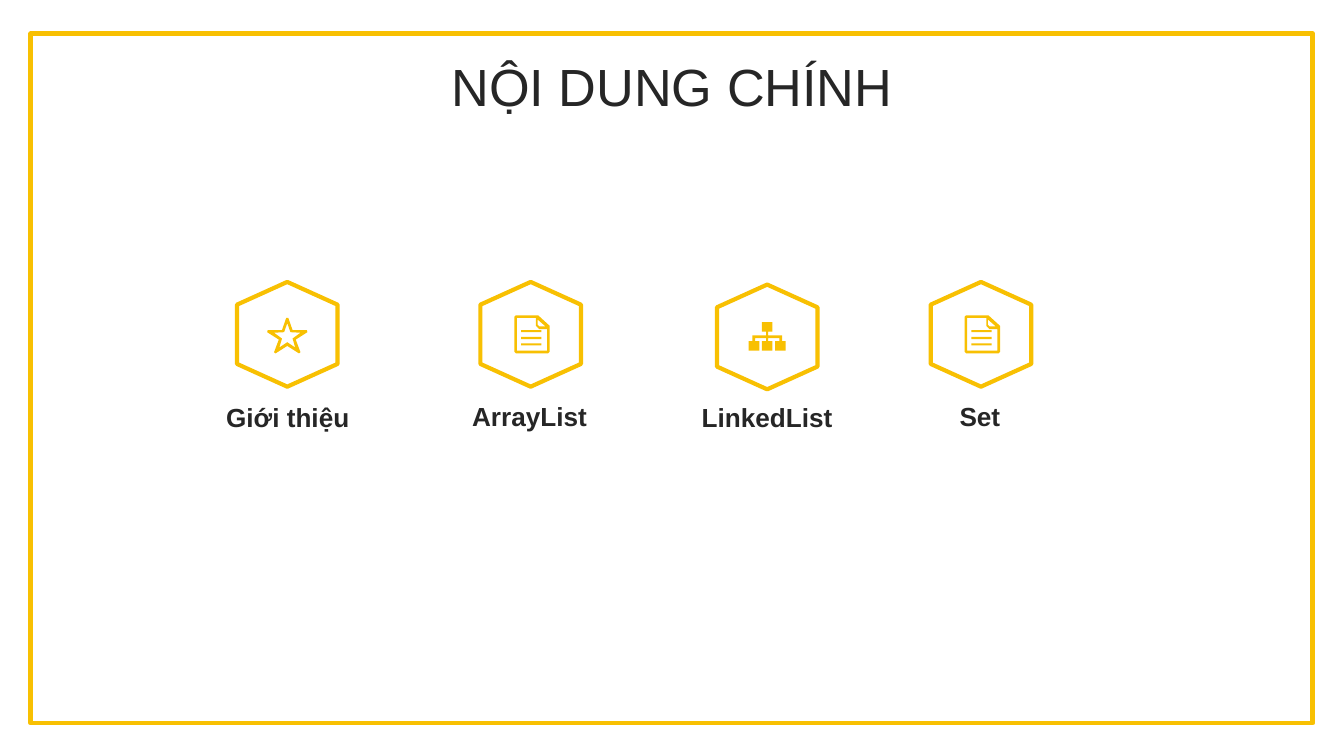
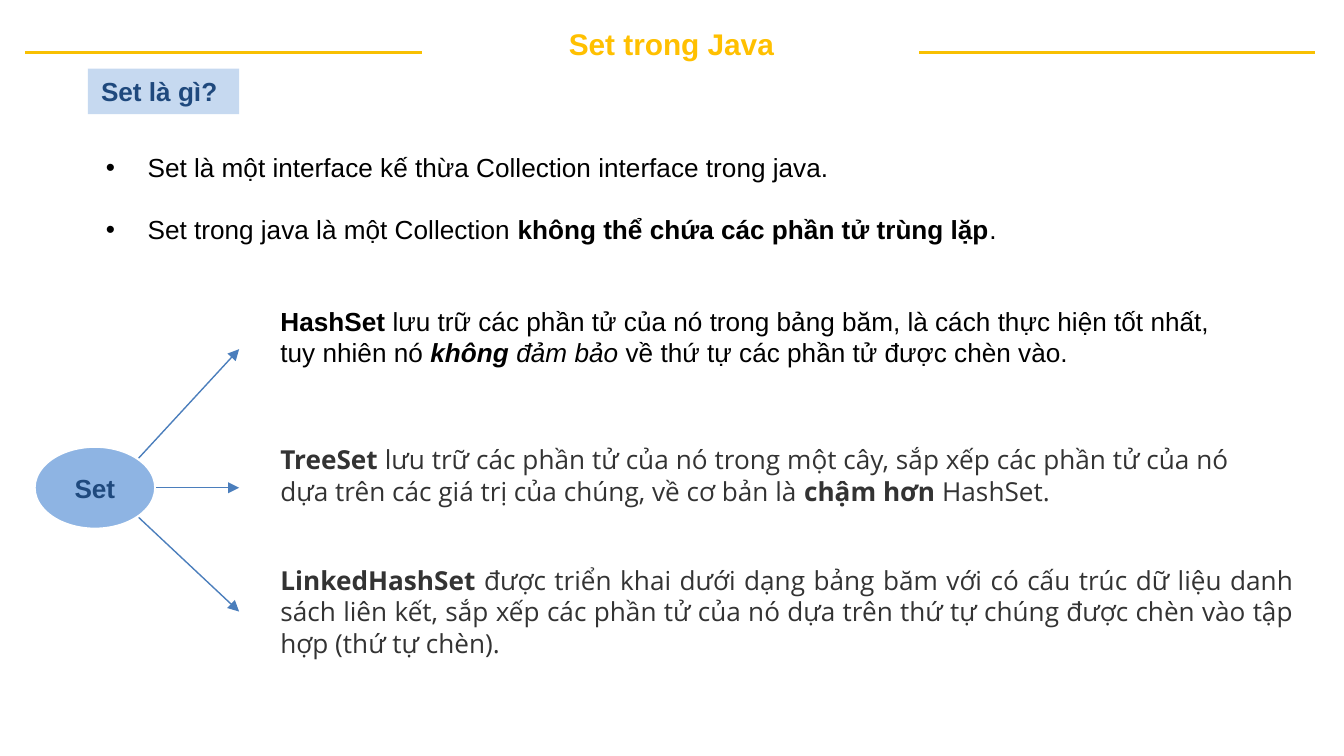
from lxml import etree
from pptx import Presentation
from pptx import util as u
from pptx.dml.color import RGBColor
from pptx.enum import shapes, text
from pptx.oxml import ns

Cm, Pt = u.Cm, u.Pt
GOLD = RGBColor(0xF8, 0xC0, 0x02)
AMBER = RGBColor(0xFF, 0xC0, 0x00)
DARK = RGBColor(0x26, 0x26, 0x26)
GREY = RGBColor(0x33, 0x33, 0x33)
BLACK = RGBColor(0, 0, 0)
WHITE = RGBColor(0xFF, 0xFF, 0xFF)
NAVY = RGBColor(0x1F, 0x49, 0x7D)
SKY = RGBColor(0x8E, 0xB4, 0xE3)
STEEL = RGBColor(0x4B, 0x7E, 0xBC)
LEFT, MID, JUST = text.PP_ALIGN.LEFT, text.PP_ALIGN.CENTER, text.PP_ALIGN.JUSTIFY
TOP, CORE = text.MSO_ANCHOR.TOP, text.MSO_ANCHOR.MIDDLE
FONT = "Arial"


def write(shape, runs, color, size=14, font=FONT, align=LEFT, anchor=TOP, wrap=True):
    frame = shape.text_frame
    frame.word_wrap = wrap
    frame.vertical_anchor = anchor
    par = frame.paragraphs[0]
    par.alignment = align
    for words, style in runs:
        run = par.add_run()
        run.text = words
        run.font.name = font
        run.font.size = Pt(size)
        run.font.bold = "b" in style
        run.font.italic = "i" in style
        run.font.color.rgb = color
    return par


def link(slide, x1, y1, x2, y2, color, width, arrow=False):
    line = slide.shapes.add_connector(
        shapes.MSO_CONNECTOR.STRAIGHT, Cm(x1), Cm(y1), Cm(x2), Cm(y2))
    line.line.color.rgb = color
    line.line.width = Pt(width)
    if arrow:
        tail = etree.SubElement(line.line._get_or_add_ln(), ns.qn("a:tailEnd"))
        tail.set("type", "triangle")
    etree.SubElement(line._element.spPr, ns.qn("a:effectLst"))


deck = Presentation()
deck.slide_width, deck.slide_height = Cm(25.4), Cm(14.29)
blank = deck.slide_layouts[6]

menu = deck.slides.add_slide(blank)
head = menu.shapes.add_textbox(Cm(4.84), Cm(0.66), Cm(15.72), Cm(1.7))
write(head, [("NỘI DUNG CHÍNH", "")], DARK, 28, align=MID).line_spacing = 1.2

frame = menu.shapes.add_shape(
    shapes.MSO_SHAPE.RECTANGLE, Cm(0.58), Cm(0.64), Cm(24.23), Cm(13.03))
frame.shadow.inherit = False
frame.fill.background()
frame.line.color.rgb = GOLD
frame.line.width = Pt(2.5)

hexagon = [(0, -99), (95, -56), (95, 56), (0, 99), (-95, 56), (-95, -56)]
rim = [(2, -31), (10, -8), (37, -8), (38, -4), (16, 10), (25, 34), (22, 36), (0, 22)]
core = [(0, -21), (6, -4), (25, -3), (10, 8), (15, 25), (0, 15)]
tree = [(10, -28), (10, -10), (2, -10), (2, -3), (28, -3), (28, 8), (35, 8), (35, 26),
        (15, 26), (15, 8), (23, 8), (23, 2), (2, 2), (2, 8), (10, 8), (10, 26)]
star_icon, tree_icon = [
    [half + [(-x, y) for x, y in reversed(half)] for half in parts]
    for parts in ([rim, core], [tree])]
page_icon = [
    [(-28, -36), (14, -36), (36, -16), (36, 33), (33, 36), (-28, 36), (-31, 33), (-31, -33)],
    [(-26, -31), (10, -31), (10, -16), (16, -10), (31, -10), (31, 31), (-26, 31)],
    [(13, -28), (28, -15), (16, -15), (13, -18)],
] + [[(-18, y), (20, y), (20, y + 4), (-18, y + 4)] for y in (-8, 5, 17)]

topics = [
    ("Giới thiệu", 5.43, 6.32, 5.44, 7.47, star_icon),
    ("ArrayList", 10.03, 6.32, 10.01, 7.44, page_icon),
    ("LinkedList", 14.5, 6.37, 14.5, 7.47, tree_icon),
    ("Set", 18.54, 6.32, 18.52, 7.44, page_icon),
]
for name, x, y, mid, top, icon in topics:
    group = menu.shapes.add_group_shape()
    for parts, solid in (([hexagon], False), (icon, True)):
        pen = group.shapes.build_freeform(*parts[0][0], scale=Cm(0.01))
        pen.add_line_segments(parts[0][1:])
        for part in parts[1:]:
            pen.move_to(*part[0])
            pen.add_line_segments(part[1:])
        form = pen.convert_to_shape(Cm(x), Cm(y))
        form.shadow.inherit = False
        if solid:
            form.fill.solid()
            form.fill.fore_color.rgb = GOLD
            form.line.fill.background()
        else:
            form.fill.background()
            form.line.color.rgb = GOLD
            form.line.width = Pt(2.25)
    label = menu.shapes.add_textbox(Cm(mid - 2), Cm(top), Cm(4), Cm(0.86))
    write(label, [(name, "b")], DARK, align=MID)

page = deck.slides.add_slide(blank)
for x in (0.48, 17.37):
    link(page, x, 0.99, x + 7.49, 0.99, GOLD, 1.5)
head = page.shapes.add_textbox(Cm(7.8), Cm(0.41), Cm(9.78), Cm(0.84))
write(head, [("Set trong Java", "b")], AMBER, 16, align=MID, anchor=CORE)

tag = page.shapes.add_shape(
    shapes.MSO_SHAPE.RECTANGLE, Cm(1.66), Cm(1.3), Cm(2.86), Cm(0.86))
node = page.shapes.add_shape(
    shapes.MSO_SHAPE.OVAL, Cm(0.64), Cm(8.43), Cm(2.31), Cm(1.58))
for shape in (tag, node):
    shape.shadow.inherit = False
    shape.fill.solid()
    shape.fill.fore_color.rgb = SKY
tag.line.fill.background()
tint = tag._element.spPr.find(".//" + ns.qn("a:srgbClr"))
etree.SubElement(tint, ns.qn("a:alpha")).set("val", "50000")
node.line.color.rgb = WHITE
node.line.width = Pt(2)
write(tag, [("Set là gì?", "b")], NAVY, wrap=False)
write(node, [("Set", "b")], NAVY, align=MID, anchor=CORE)

points = [
    (2.74, [("Set là một interface kế thừa Collection interface trong java.", "")]),
    (3.91, [("Set trong java là một Collection ", ""),
            ("không thể chứa các phần tử trùng lặp", "b"), (".", "")]),
]
for y, runs in points:
    box = page.shapes.add_textbox(Cm(1.75), Cm(y), Cm(17.4), Cm(0.86))
    props = write(box, runs, BLACK)._p.get_or_add_pPr()
    props.set("marL", str(Cm(0.79)))
    props.set("indent", str(-Cm(0.79)))
    etree.SubElement(props, ns.qn("a:buFont")).set("typeface", FONT)
    etree.SubElement(props, ns.qn("a:buChar")).set("char", "•")

for x, y, end in ((2.62, 8.66, 6.6), (2.95, 9.22, 9.22), (2.62, 9.78, 11.56)):
    link(page, x, y, 4.52, end, STEEL, 0.75, arrow=True)

kinds = [
    (5.64, 18.14, 1.45, BLACK, FONT, LEFT, [
        ("HashSet", "b"),
        (" lưu trữ các phần tử của nó trong bảng băm, là cách thực hiện tốt nhất, "
         "tuy nhiên nó ", ""),
        ("không", "bi"), (" đảm bảo ", "i"),
        ("về thứ tự các phần tử được chèn vào.", "")]),
    (8.26, 18.44, 1.45, GREY, "Open Sans", JUST, [
        ("TreeSet", "b"),
        (" lưu trữ các phần tử của nó trong một cây, sắp xếp các phần tử của nó "
         "dựa trên các giá trị của chúng, về cơ bản là ", ""),
        ("chậm hơn ", "b"), ("HashSet.", "")]),
    (10.54, 19.66, 2.06, GREY, "Open Sans", JUST, [
        ("LinkedHashSet", "b"),
        (" được triển khai dưới dạng bảng băm với có cấu trúc dữ liệu danh sách "
         "liên kết, sắp xếp các phần tử của nó dựa trên thứ tự chúng được chèn "
         "vào tập hợp (thứ tự chèn).", "")]),
]
for y, width, height, color, font, align, runs in kinds:
    box = page.shapes.add_textbox(Cm(5.05), Cm(y), Cm(width), Cm(height))
    write(box, runs, color, font=font, align=align)

deck.save("out.pptx")
